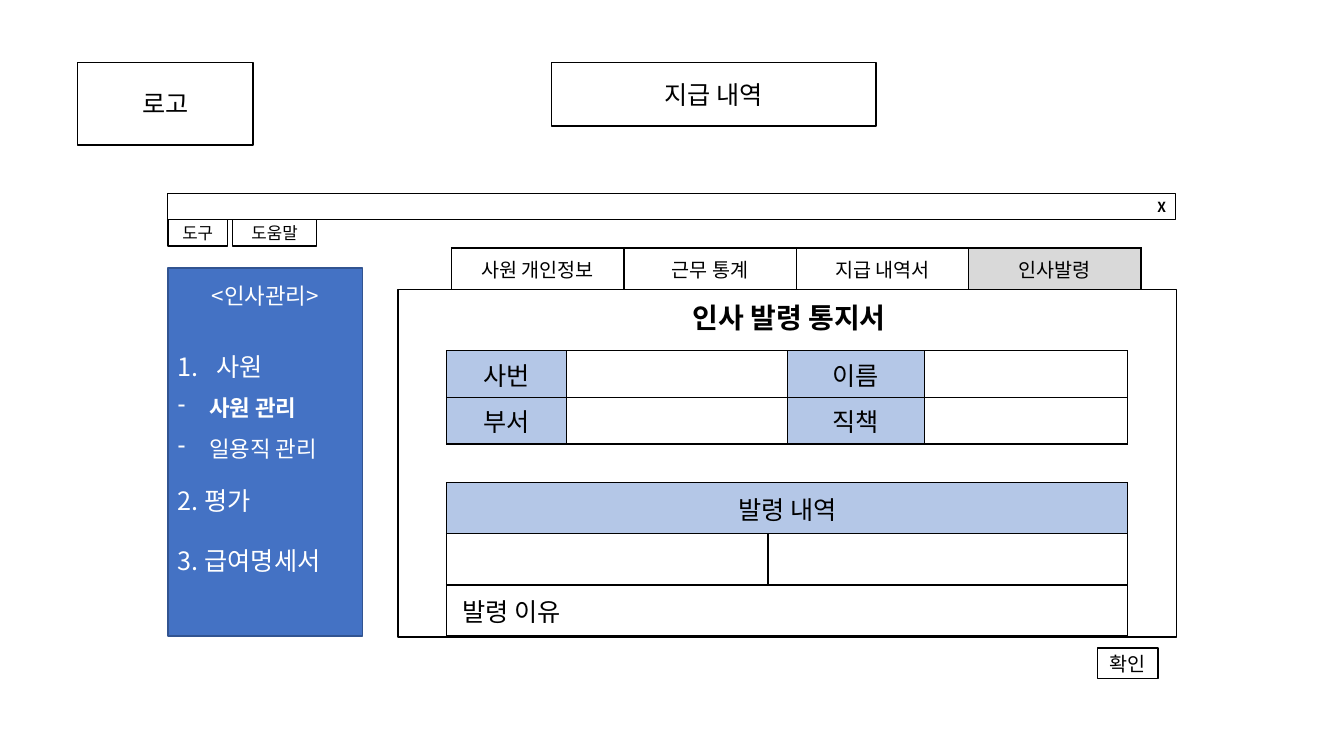
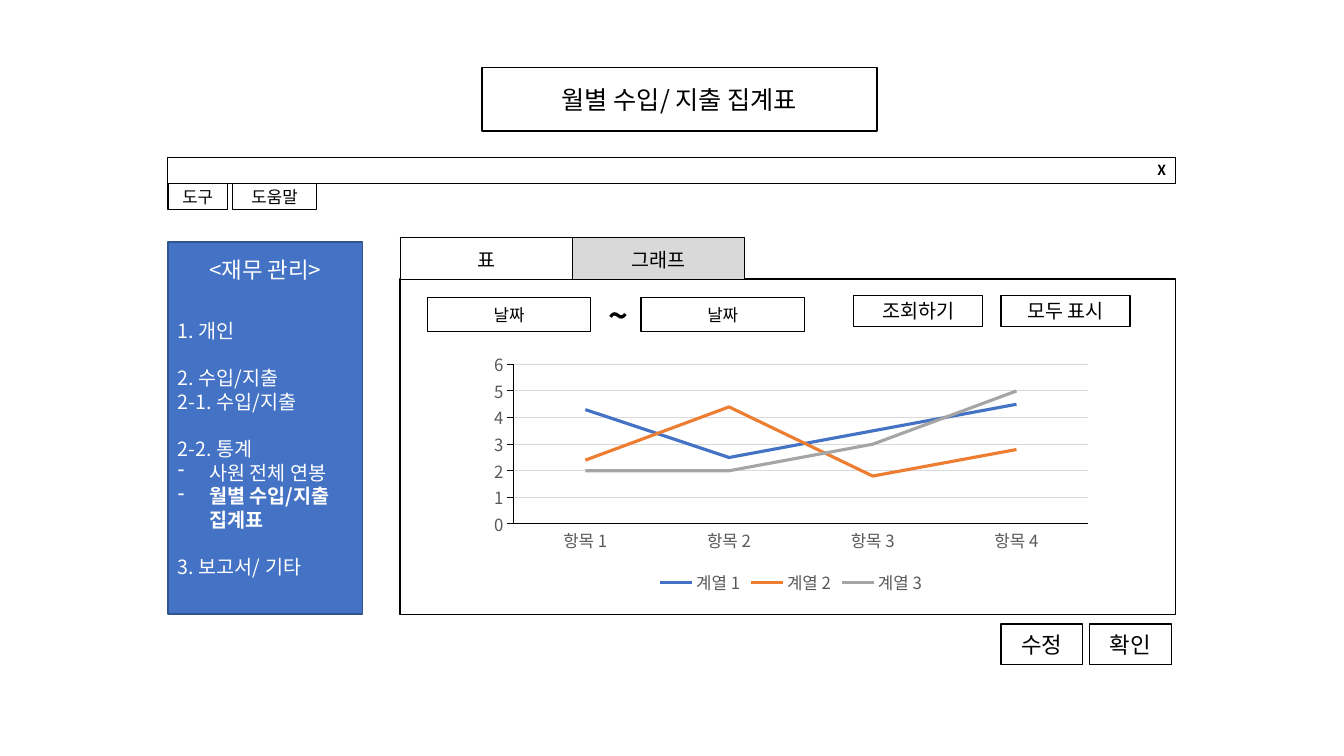
"""Build two wireframe slides for a personnel and finance tool."""
from dataclasses import dataclass

from lxml import etree
from pptx import Presentation, util as u
from pptx.chart.data import CategoryChartData
from pptx.dml.color import RGBColor
from pptx.enum import chart as ch, shapes as sh, text as tx
from pptx.oxml.ns import qn

FONT = "Noto Sans CJK KR"
BLACK, WHITE, GRAY, PALE = "000000", "FFFFFF", "D9D9D9", "B4C7E7"
BLUE, NAVY, SLATE = "4472C4", "325491", "595959"
HUES = (BLUE, "ED7D31", "A5A5A5")
COLS, ROWS = 80, 45
LEFT, CENTER, RIGHT = tx.PP_ALIGN.LEFT, tx.PP_ALIGN.CENTER, tx.PP_ALIGN.RIGHT

deck = Presentation()
deck.slide_width, deck.slide_height = u.Inches(40 / 3), u.Inches(7.5)


@dataclass
class Area:
    """A place in columns and rows of the slide grid."""
    x: float
    y: float
    w: float
    h: float

    def emu(self) -> tuple:
        """Return left, top, width and height as lengths."""
        return across(self.x), down(self.y), across(self.w), down(self.h)


@dataclass
class Box:
    """An outlined rectangle with a label."""
    area: Area
    label: str = ""
    size: float = 18
    align: int = CENTER
    bold: bool = False
    edge: float = 1


@dataclass
class Cell:
    """A table cell."""
    label: str = ""
    fill: str = ""
    span: int = 1
    align: int = CENTER


@dataclass
class Item:
    """A menu line with the gap above it in points."""
    label: str
    size: float = 14
    gap: float = 0
    bold: bool = False
    mark: str = ""


def across(n: float) -> int:
    """Turn grid columns into a length."""
    return round(deck.slide_width * n / COLS)


def down(n: float) -> int:
    """Turn grid rows into a length."""
    return round(deck.slide_height * n / ROWS)


def paint(form, shade: str) -> None:
    """Give a fill, line or font format its colour."""
    if hasattr(form, "solid"):
        form.solid()
        form.fore_color.rgb = RGBColor.from_string(shade)
    else:
        form.color.rgb = RGBColor.from_string(shade)


def style(para, size: float, shade: str = BLACK, bold: bool = False,
          align: int = LEFT):
    """Set the font of a paragraph and return its font element."""
    para.alignment = align
    font = para.font
    font.size, font.bold, font.name = u.Pt(size), bold, FONT
    paint(font, shade)
    props = para._p.pPr.find(qn("a:defRPr"))
    etree.SubElement(props, qn("a:ea"), typeface=FONT)
    return props


def draw(slide, box: Box, fill: str = WHITE, line: str = BLACK):
    """Draw a labelled rectangle."""
    shape = slide.shapes.add_shape(sh.MSO_SHAPE.RECTANGLE, *box.area.emu())
    shape.shadow.inherit = False
    paint(shape.fill, fill)
    paint(shape.line, line)
    shape.line.width = u.Pt(box.edge)
    frame = shape.text_frame
    frame.word_wrap = True
    frame.vertical_anchor = tx.MSO_ANCHOR.MIDDLE
    if box.label:
        para = frame.paragraphs[0]
        para.text = box.label
        style(para, box.size, BLACK, box.bold, box.align)
    return shape


def write(slide, area: Area, label: str, size: float) -> None:
    """Write a bold line of free text."""
    frame = slide.shapes.add_textbox(*area.emu()).text_frame
    frame.word_wrap = True
    para = frame.paragraphs[0]
    para.text = label
    style(para, size, bold=True)


def bullet(para, props, mark: str) -> None:
    """Hang a dash or a number before a paragraph."""
    number = mark == "1."
    hang = u.Inches(0.38 if number else 0.31)
    para._p.pPr.set("marL", str(hang))
    para._p.pPr.set("indent", str(-hang))
    if number:
        node = etree.Element(qn("a:buAutoNum"), type="arabicPeriod")
    else:
        node = etree.Element(qn("a:buChar"), char=mark)
    props.addprevious(node)


def menu(slide, y: float, h: float, items: list[Item]) -> None:
    """Draw the blue side menu."""
    panel = draw(slide, Box(Area(10, y, 11.58, h)), BLUE, NAVY)
    frame = panel.text_frame
    frame.vertical_anchor = tx.MSO_ANCHOR.TOP
    frame.margin_top = u.Inches(0.14)
    for i, item in enumerate(items):
        para = frame.add_paragraph() if i else frame.paragraphs[0]
        para.text = item.label
        props = style(para, item.size, WHITE, item.bold, LEFT if i else CENTER)
        para.line_spacing = u.Pt(1.2 * item.size)
        para.space_before = u.Pt(item.gap)
        if item.mark:
            bullet(para, props, item.mark)


def border(cell) -> None:
    """Outline a cell in black."""
    props = cell._tc.get_or_add_tcPr()
    for i, side in enumerate("LRTB"):
        line = etree.Element(qn(f"a:ln{side}"), w=str(u.Pt(1)))
        fill = etree.SubElement(line, qn("a:solidFill"))
        etree.SubElement(fill, qn("a:srgbClr"), val=BLACK)
        props.insert(i, line)


def table(slide, x: float, y: float, widths: list[float], high: float,
          rows: list[list[Cell]], size: float = 18) -> None:
    """Draw a bordered table."""
    area = Area(x, y, sum(widths), high * len(rows))
    grid = slide.shapes.add_table(len(rows), len(widths), *area.emu()).table
    grid.first_row = grid.horz_banding = False
    for col, wide in zip(grid.columns, widths):
        col.width = across(wide)
    for r, row in enumerate(rows):
        grid.rows[r].height = down(high)
        for c, item in enumerate(row):
            cell = grid.cell(r, c)
            if item.span > 1:
                cell.merge(grid.cell(r, c + item.span - 1))
            cell.vertical_anchor = tx.MSO_ANCHOR.MIDDLE
            if item.align == LEFT:
                cell.margin_left = u.Inches(0.16)
            para = cell.text_frame.paragraphs[0]
            para.text = item.label
            style(para, size, align=item.align)
    for cell in grid.iter_cells():
        cell.fill.background()
        border(cell)
    for r, row in enumerate(rows):
        for c, item in enumerate(row):
            if item.fill:
                paint(grid.cell(r, c).fill, item.fill)


def tabs(slide, x: float, y: float, names: list[str]) -> None:
    """Draw a row of tabs with the last one chosen."""
    row = [Cell(name, WHITE) for name in names[:-1]] + [Cell(names[-1], GRAY)]
    table(slide, x, y, [10.26] * len(row), 2.46, [row], 14)


def window(title: Box, y: float):
    """Start a slide with its title, window bar and tool buttons."""
    slide = deck.slides.add_slide(deck.slide_layouts[6])
    high = 1.56
    for box in (title,
                Box(Area(10, y, 60, high), "X", 9.9, RIGHT, True, 0.75),
                Box(Area(10, y + high, 3.54, high), "도구", 12),
                Box(Area(13.86, y + high, 4.98, high), "도움말", 12)):
        draw(slide, box)
    return slide


def graph(slide, area: Area, names: list[str], series: dict) -> None:
    """Draw the line chart."""
    data = CategoryChartData()
    data.categories = names
    for name, vals in series.items():
        data.add_series(name, vals)
    plot = slide.shapes.add_chart(ch.XL_CHART_TYPE.LINE, *area.emu(), data).chart
    plot.has_title = False
    plot.has_legend = True
    plot.legend.position = ch.XL_LEGEND_POSITION.BOTTOM
    plot.legend.include_in_layout = False
    plot.plots[0].vary_by_categories = False
    cat, val = plot.category_axis, plot.value_axis
    for font in (plot.font, plot.legend.font, cat.tick_labels.font,
                 val.tick_labels.font):
        font.size, font.name = u.Pt(12), FONT
        paint(font, SLATE)
    cat.major_tick_mark = ch.XL_TICK_MARK.NONE
    val.major_tick_mark = ch.XL_TICK_MARK.OUTSIDE
    val.minimum_scale, val.maximum_scale, val.major_unit = 0, 6, 1
    for line, shade in ((cat.format.line, BLACK), (val.format.line, BLACK),
                        (val.major_gridlines.format.line, GRAY)):
        paint(line, shade)
        line.width = u.Pt(0.75)
    for part, shade in zip(plot.plots[0].series, HUES):
        part.smooth = False
        part.marker.style = ch.XL_MARKER_STYLE.NONE
        paint(part.format.line, shade)
        part.format.line.width = u.Pt(2.25)


def notice() -> None:
    """Build the personnel order slide."""
    slide = window(Box(Area(32.82, 3.72, 19.32, 3.78), "지급 내역"), 11.52)
    draw(slide, Box(Area(4.62, 3.72, 10.44, 4.92), "로고"))
    menu(slide, 15.96, 21.9, [
        Item("<인사관리>", 16),
        Item("사원", 18, 30, mark="1."),
        Item("사원 관리", 16, 9, True, "-"),
        Item("일용직 관리", 16, 10, mark="-"),
        Item("2. 평가", 18, 17),
        Item("3. 급여명세서", 18, 21)])
    tabs(slide, 26.88, 14.76, ["사원 개인정보", "근무 통계", "지급 내역서", "인사발령"])
    draw(slide, Box(Area(23.7, 17.22, 46.32, 20.7)))
    pairs = (("사번", "이름"), ("부서", "직책"))
    table(slide, 26.58, 20.88, [7.14, 13.14, 8.16, 12.12], 2.4,
          [[cell for name in pair for cell in (Cell(name, PALE), Cell())]
           for pair in pairs])
    write(slide, Area(40.62, 17.58, 14.7, 2.64), "인사 발령 통지서", 20)
    table(slide, 26.58, 28.74, [19.14, 21.42], 3.04, [
        [Cell("발령 내역", PALE, 2)],
        [Cell(), Cell()],
        [Cell("발령 이유", span=2, align=LEFT)]])
    draw(slide, Box(Area(65.34, 38.58, 3.6, 1.8), "확인", 14))


def report() -> None:
    """Build the monthly income and spending slide."""
    slide = window(Box(Area(28.68, 4.02, 23.52, 3.78), "월별 수입/ 지출 집계표"), 9.36)
    menu(slide, 14.4, 22.14, [
        Item("<재무 관리>", 16),
        Item("1. 개인", gap=26),
        Item("2. 수입/지출", gap=16.8),
        Item("2-1. 수입/지출"),
        Item("2-2. 통계", gap=16.8),
        Item("사원 전체 연봉", mark="-"),
        Item("월별 수입/지출 집계표", bold=True, mark="-"),
        Item("3. 보고서/ 기타", gap=16.8)])
    draw(slide, Box(Area(23.82, 16.62, 46.14, 19.98)))
    for x, name in ((50.82, "조회하기"), (59.58, "모두 표시")):
        draw(slide, Box(Area(x, 17.58, 7.68, 1.86), name, 14))
    for x, name in ((59.58, "수정"), (64.86, "확인")):
        draw(slide, Box(Area(x, 37.14, 4.86, 2.4), name, 16))
    for x in (25.44, 38.16):
        draw(slide, Box(Area(x, 17.7, 9.72, 2.04), "날짜", 12))
    write(slide, Area(35.64, 17.28, 2.28, 3), "~", 24)
    tabs(slide, 23.82, 14.16, ["표", "그래프"])
    graph(slide, Area(28.68, 20.64, 36.84, 15),
          [f"항목 {n}" for n in range(1, 5)],
          {"계열 1": (4.3, 2.5, 3.5, 4.5),
           "계열 2": (2.4, 4.4, 1.8, 2.8),
           "계열 3": (2, 2, 3, 5)})


notice()
report()
deck.save("out.pptx")
